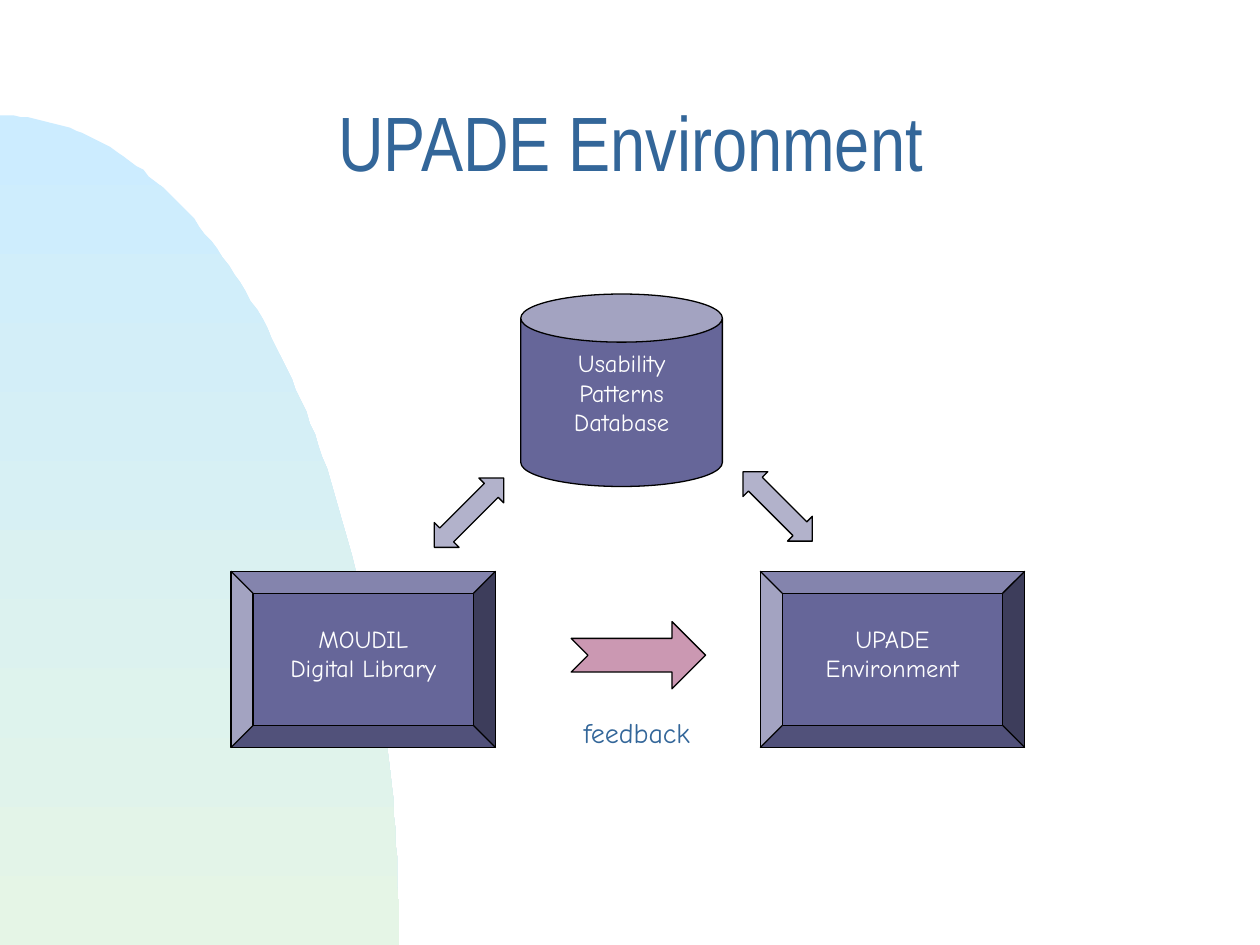
import math

from lxml import etree
from pptx import Presentation
from pptx.dml import color
from pptx.enum import shapes, text
from pptx.oxml import ns
from pptx.util import Pt

COLORS = {
    "title": "336699",
    "block": "666699",
    "feedback": "993366",
    "line": "000000",
    "white": "FFFFFF",
    "sky": "CCECFF",
    "mint": "E5F5E6",
}
KIND = shapes.MSO_SHAPE
LABEL = {"name": "Comic Neue", "size": Pt(14), "color": "white"}
CAPTION = {"name": "Comic Neue", "size": Pt(16), "color": "title"}
HEADING = {"name": "Arial Narrow", "size": Pt(44), "color": "title"}


def rgb(name):
    return color.RGBColor.from_string(COLORS[name])


def format_font(font, values):
    for key, value in values.items():
        if key == "color":
            font.color.rgb = rgb(value)
        else:
            setattr(font, key, value)


def set_frame(frame, **values):
    defaults = {
        "word_wrap": True,
        "auto_size": text.MSO_AUTO_SIZE.NONE,
        "vertical_anchor": text.MSO_ANCHOR.TOP,
        "margin_left": Pt(7.2),
        "margin_right": Pt(7.2),
        "margin_top": Pt(3.6),
        "margin_bottom": Pt(3.6),
    }
    for key, value in (defaults | values).items():
        setattr(frame, key, value)


def write_lines(box, lines, font, align, **frame_values):
    frame = box.text_frame
    set_frame(frame, **frame_values)
    for index, line in enumerate(lines):
        para = frame.add_paragraph() if index else frame.paragraphs[0]
        para.alignment = align
        span = para.add_run()
        span.text = line
        format_font(span.font, font)


def add_block(page, kind, place, fill, line="line", adjust=()):
    box = page.shapes.add_shape(kind, *map(Pt, place))
    box.shadow.inherit = False
    box.fill.solid()
    box.fill.fore_color.rgb = rgb(fill)
    box.line.color.rgb = rgb(line)
    box.line.width = Pt(0.75)
    for index, value in enumerate(adjust):
        box.adjustments[index] = value
    return box


def make_translucent(box, percent):
    fill = box._element.spPr.find(ns.qn("a:solidFill"))
    alpha = etree.SubElement(fill[0], ns.qn("a:alpha"))
    alpha.set("val", str(percent * 1000))


def add_arrow(page, kind, place, fill, adjust, rotation=0):
    arrow = add_block(page, kind, place, fill, adjust=adjust)
    arrow.rotation = rotation
    make_translucent(arrow, 50)


def add_backdrop(page, top, width, bottom, steps=90):
    angles = [math.pi / 2 * step / steps for step in range(1, steps + 1)]
    height = bottom - top
    points = [(width * math.sin(a), bottom - height * math.cos(a)) for a in angles]
    builder = page.shapes.build_freeform(0, top, scale=Pt(1))
    builder.add_line_segments(points + [(0, bottom)], close=True)
    curve = builder.convert_to_shape()
    curve.shadow.inherit = False
    curve.line.fill.background()
    curve.fill.gradient()
    curve.fill.gradient_angle = 270
    for stop, name in zip(curve.fill.gradient_stops, ("sky", "mint")):
        stop.color.rgb = rgb(name)


def set_title(page, words):
    title = page.shapes.title
    place = {"left": 186, "top": 60, "width": 426, "height": 54}
    for key, value in place.items():
        setattr(title, key, Pt(value))
    write_lines(title, [words], HEADING, text.PP_ALIGN.LEFT,
                vertical_anchor=text.MSO_ANCHOR.MIDDLE)
    title.text_frame.paragraphs[0].line_spacing = 0.7


def main():
    deck = Presentation()
    deck.slide_width, deck.slide_height = Pt(720), Pt(540)
    page = deck.slides.add_slide(deck.slide_layouts[5])
    center = text.PP_ALIGN.CENTER

    add_backdrop(page, 66, 228, 540)
    set_title(page, "UPADE Environment")

    database = add_block(page, KIND.CAN, (297.6, 168, 115.2, 110), "block",
                         adjust=[0.25])
    write_lines(database, ["Usability Patterns Database"], LABEL, center,
                margin_left=Pt(10), margin_right=Pt(10))

    systems = {132: ["MOUDIL", "Digital Library"], 434.4: ["UPADE", "Environment"]}
    for left, lines in systems.items():
        system = add_block(page, KIND.BEVEL, (left, 326.4, 151.2, 100.8), "block",
                           adjust=[0.125])
        write_lines(system, lines, LABEL, center, margin_top=Pt(17.4))

    for left, top, rotation in ((258, 265, 45), (434.4, 261.4, 315)):
        add_arrow(page, KIND.UP_DOWN_ARROW, (left, top, 20, 56), "block",
                  [0.5, 0.56], rotation)
    add_arrow(page, KIND.NOTCHED_RIGHT_ARROW, (326.4, 355.2, 76.8, 38.4),
              "feedback", [0.5, 0.5])

    caption = add_block(page, KIND.RECTANGLE, (326.4, 405.6, 93.6, 28.8),
                        "white", "white")
    write_lines(caption, ["feedback"], CAPTION, text.PP_ALIGN.LEFT)

    deck.save("out.pptx")


if __name__ == "__main__":
    main()
